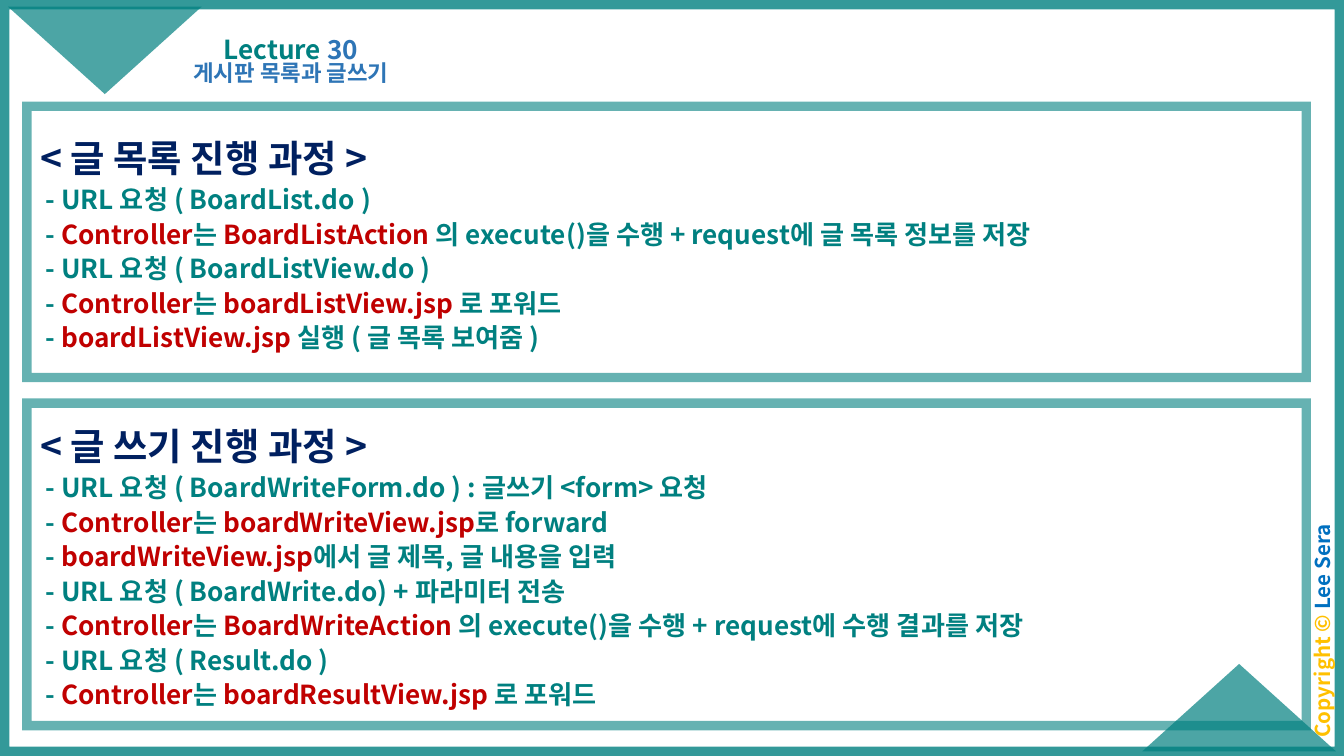
import pptx
import pptx.dml.color
import pptx.enum.shapes
import pptx.enum.text
import pptx.oxml
import pptx.oxml.ns
import pptx.util

Pt = pptx.util.Pt
SHAPE = pptx.enum.shapes.MSO_SHAPE
ANCHOR = pptx.enum.text.MSO_ANCHOR
ALIGN = pptx.enum.text.PP_ALIGN
FONT = "Noto Sans CJK KR"
TEAL, NAVY, RED, BLUE = "008080", "002060", "C00000", "2E75B6"
GOLD, SKY = "FFC000", "0070C0"

LIST = ("< 글 목록 진행 과정 >", [
    "- URL 요청 ( BoardList.do )",
    "- |Controller|는 |BoardListAction |의 execute()을 수행 + request에 글 목록 정보를 저장",
    "- URL 요청 ( BoardListView.do )",
    "- |Controller|는 |boardListView.jsp |로 포워드",
    "- |boardListView.jsp |실행 ( 글 목록 보여줌 )",
])
WRITE = ("< 글 쓰기 진행 과정 >", [
    "- URL 요청 ( BoardWriteForm.do ) : 글쓰기 <form> 요청",
    "- |Controller|는 |boardWriteView.jsp|로 forward",
    "- |boardWriteView.jsp|에서 글 제목, 글 내용을 입력",
    "- URL 요청 ( BoardWrite.do) + 파라미터 전송",
    "- |Controller|는 |BoardWriteAction |의 execute()을 수행 + request에 수행 결과를 저장",
    "- URL 요청 ( Result.do )",
    "- |Controller|는 |boardResultView.jsp |로 포워드",
])


def node(parent, tag, **attrs):
    """Append a drawing element with its attributes."""
    item = pptx.oxml.parse_xml(f"<a:{tag} {pptx.oxml.ns.nsdecls('a')}/>")
    for key, value in attrs.items():
        item.set(key, value)
    parent.append(item)


def paint(color, code, alpha=100):
    """Set a colour from a hex string, with opacity in percent."""
    color.rgb = pptx.dml.color.RGBColor.from_string(code)
    if alpha < 100:
        node(color._xFill.find(pptx.oxml.ns.qn("a:srgbClr")), "alpha", val=str(alpha * 1000))


def write(para, text, size, code):
    """Add one bold run to a paragraph."""
    run = para.add_run()
    run.text = text
    run.font.name = FONT
    run.font.size = Pt(size)
    run.font.bold = True
    node(run.font._element, "ea", typeface=FONT)
    run.font.fill.solid()
    paint_fill(run.font.fill, code)


def paint_fill(fill, code, alpha=100):
    """Make a fill solid in one colour."""
    fill.solid()
    fill.fore_color.rgb = pptx.dml.color.RGBColor.from_string(code)
    if alpha < 100:
        color = fill._xPr.find(pptx.oxml.ns.qn("a:solidFill"))[0]
        node(color, "alpha", val=str(alpha * 1000))


def frame(slide, place, width, alpha):
    """Add a hollow rectangle with a sharp translucent border."""
    shape = slide.shapes.add_shape(SHAPE.RECTANGLE, *map(Pt, place))
    shape.shadow.inherit = False
    shape.fill.background()
    shape.line.width = Pt(width)
    paint_fill(shape.line.fill, TEAL, alpha)
    node(shape.line._ln, "miter", lim="800000")
    return shape


def corner(slide, left, top, turn):
    """Add a translucent corner triangle."""
    shape = slide.shapes.add_shape(SHAPE.ISOSCELES_TRIANGLE, Pt(left), Pt(top), Pt(103.7), Pt(46.8))
    shape.shadow.inherit = False
    shape.rotation = turn
    paint_fill(shape.fill, TEAL, 70)
    shape.line.fill.background()


def label(slide, place, size, runs, anchor=ANCHOR.TOP, turn=0):
    """Add a centred text box made of coloured runs."""
    box = slide.shapes.add_textbox(*map(Pt, place))
    box.rotation = turn
    body = box.text_frame
    body.word_wrap = True
    body.vertical_anchor = anchor
    body.margin_left = body.margin_right = Pt(5)
    body.margin_top = body.margin_bottom = Pt(3)
    para = body.paragraphs[0]
    para.alignment = ALIGN.CENTER
    para.line_spacing = 0.9
    for text, code in runs:
        write(para, text, size, code)


def panel(slide, top, height, title, steps):
    """Add a framed panel whose steps mark red words between bars."""
    body = frame(slide, (14.4, top, 685.4, height), 5, 60).text_frame
    body.word_wrap = True
    body.vertical_anchor = ANCHOR.MIDDLE
    head = body.paragraphs[0]
    write(head, title, 20, NAVY)
    for step in steps:
        para = body.add_paragraph()
        para._p.get_or_add_pPr().set("marL", str(Pt(3)))
        for index, text in enumerate(step.split("|")):
            write(para, text, 14, RED if index % 2 else TEAL)
    for para in body.paragraphs:
        para.alignment = ALIGN.LEFT
        para.line_spacing = 1.1


def main():
    """Build the lecture slide and save it."""
    deck = pptx.Presentation()
    deck.slide_width, deck.slide_height = Pt(720), Pt(405)
    slide = deck.slides.add_slide(deck.slide_layouts[6])
    frame(slide, (0, 0, 720, 405), 10, 80)
    corner(slide, 612, 355.7, 0)
    corner(slide, 4.3, 3.6, 180)
    label(slide, (642.2, 329, 133.9, 18), 11,
          [("Copyright © ", GOLD), ("Lee Sera", SKY)], turn=270)
    panel(slide, 56.9, 145.4, *LIST)
    label(slide, (100.8, 4.3, 110.2, 33.8), 14,
          [("Lecture ", TEAL), ("30", BLUE)], ANCHOR.BOTTOM)
    label(slide, (79.2, 30.2, 153.4, 24.5), 12, [("게시판 목록과 글쓰기", BLUE)])
    panel(slide, 216, 172.8, *WRITE)
    deck.save("out.pptx")


if __name__ == "__main__":
    main()
